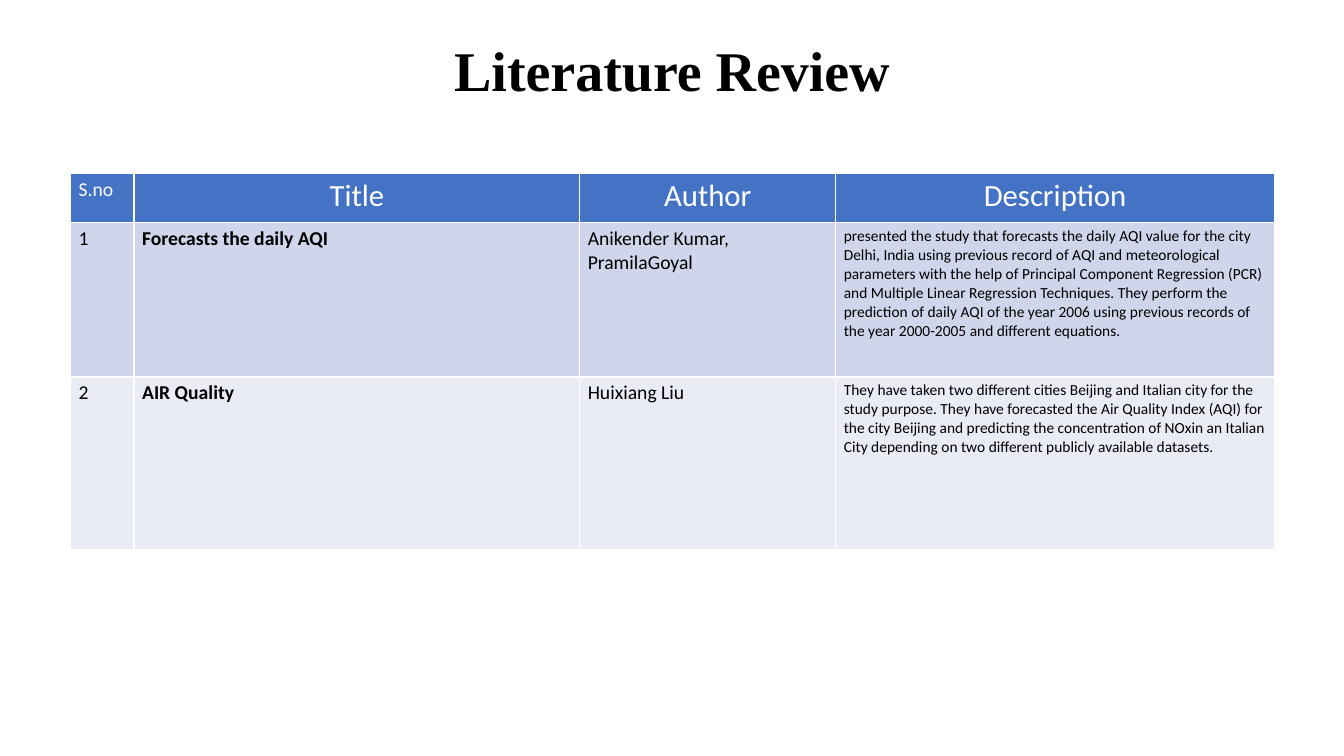
from dataclasses import dataclass

from pptx import Presentation
from pptx.dml.color import RGBColor
from pptx.enum.text import MSO_ANCHOR, PP_ALIGN
from pptx.util import Inches, Pt

BLACK = RGBColor(0x00, 0x00, 0x00)
WHITE = RGBColor(0xFF, 0xFF, 0xFF)
HEADER_BLUE = RGBColor(0x44, 0x72, 0xC4)
BAND_DARK = RGBColor(0xCF, 0xD5, 0xEA)
BAND_LIGHT = RGBColor(0xE9, 0xEB, 0xF5)
LEFT, CENTER = PP_ALIGN.LEFT, PP_ALIGN.CENTER
MIDDLE = MSO_ANCHOR.MIDDLE


@dataclass
class Column:
    heading: str
    width: float
    heading_size: int = 22
    heading_align: PP_ALIGN = CENTER
    body_size: int = 14
    body_bold: bool = False


@dataclass
class Row:
    height: float
    fill: RGBColor
    color: RGBColor
    texts: list[str]


COLUMNS = [
    Column("S.no", 0.63, heading_size=14, heading_align=LEFT),
    Column("Title", 4.42, body_bold=True),
    Column("Author", 2.54),
    Column("Description", 4.35, body_size=11),
]

ROWS = [
    Row(0.49, HEADER_BLUE, WHITE, [column.heading for column in COLUMNS]),
    Row(1.53, BAND_DARK, BLACK, [
        "1",
        "Forecasts the daily AQI",
        "Anikender Kumar, PramilaGoyal",
        "presented the study that forecasts the daily AQI value for the city Delhi, "
        "India using previous record of AQI and meteorological parameters with the "
        "help of Principal Component Regression (PCR) and Multiple Linear Regression "
        "Techniques. They perform the prediction of daily AQI of the year 2006 using "
        "previous records of the year 2000-2005 and different equations.",
    ]),
    Row(1.71, BAND_LIGHT, BLACK, [
        "2",
        "AIR Quality",
        "Huixiang Liu",
        "They have taken two different cities Beijing and Italian city for the study "
        "purpose. They have forecasted the Air Quality Index (AQI) for the city Beijing "
        "and predicting the concentration of NOxin an Italian City depending on two "
        "different publicly available datasets.",
    ]),
]


def style_paragraph(p, font: str, size: int, color: RGBColor, bold: bool, align: PP_ALIGN) -> None:
    p.alignment = align
    for r in p.runs:
        r.font.name = font
        r.font.size = Pt(size)
        r.font.bold = bold
        r.font.color.rgb = color


def add_title(s, text: str) -> None:
    sp = s.shapes.add_textbox(0, 0, Inches(13.33), Inches(1.45))
    tf = sp.text_frame
    tf.word_wrap = True
    tf.vertical_anchor = MIDDLE
    tf.text = text
    p = tf.paragraphs[0]
    p.line_spacing = 0.9
    style_paragraph(p, "Times New Roman", 40, BLACK, True, CENTER)


def fill_cell(cell, text: str, row: Row, column: Column, is_header: bool) -> None:
    cell.fill.solid()
    cell.fill.fore_color.rgb = row.fill
    cell.margin_left = cell.margin_right = Inches(0.08)
    cell.margin_top = cell.margin_bottom = Inches(0.04)
    cell.text_frame.text = text
    size = column.heading_size if is_header else column.body_size
    bold = column.body_bold and not is_header
    align = column.heading_align if is_header else LEFT
    style_paragraph(cell.text_frame.paragraphs[0], "Calibri", size, row.color, bold, align)


def add_review_table(s, left: float, top: float) -> None:
    width = sum(column.width for column in COLUMNS)
    height = sum(row.height for row in ROWS)
    table = s.shapes.add_table(len(ROWS), len(COLUMNS), Inches(left), Inches(top),
                               Inches(width), Inches(height)).table
    for j, column in enumerate(COLUMNS):
        table.columns[j].width = Inches(column.width)
    for i, row in enumerate(ROWS):
        table.rows[i].height = Inches(row.height)
        for j, (column, text) in enumerate(zip(COLUMNS, row.texts)):
            fill_cell(table.cell(i, j), text, row, column, is_header=i == 0)


def main() -> None:
    prs = Presentation()
    prs.slide_width, prs.slide_height = Inches(13.33), Inches(7.5)
    s = prs.slides.add_slide(prs.slide_layouts[6])

    # Title
    add_title(s, "Literature Review")

    # Table of reviewed papers
    add_review_table(s, 0.7, 1.72)

    prs.save("out.pptx")


if __name__ == "__main__":
    main()
